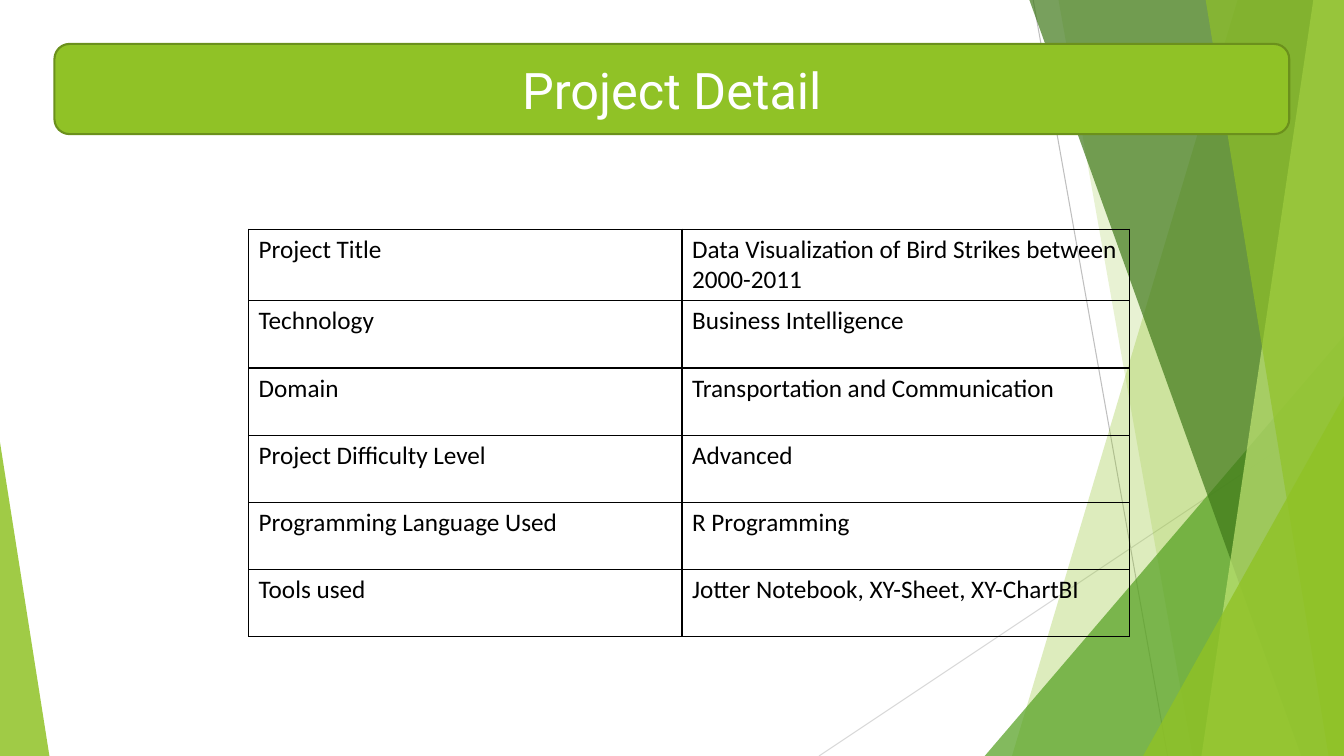
import collections
import dataclasses

import pptx
import pptx.dml.color
import pptx.enum.shapes
import pptx.enum.text
import pptx.oxml
import pptx.oxml.ns
import pptx.util
from lxml import etree

Pt = pptx.util.Pt
Shapes = pptx.enum.shapes.MSO_SHAPE
Box = collections.namedtuple("Box", "left top width height")
Slant = collections.namedtuple("Slant", "top_x bottom_x color opacity")
Triangle = collections.namedtuple("Triangle", "left width height apex color opacity")


@dataclasses.dataclass(frozen=True)
class Theme:
    lime: str = "90C226"
    green: str = "54A021"
    forest: str = "3F7819"
    pale: str = "C0E474"
    outline: str = "6B901C"
    dark_ray: str = "BFBFBF"
    light_ray: str = "D9D9D9"
    white: str = "FFFFFF"
    black: str = "000000"
    title_font: str = "Roboto"
    title_size: float = 36
    table_font: str = "Calibri"
    table_size: float = 18


THEME = Theme()

FACETS = [
    Slant(884.2, 722.9, THEME.lime, 30),
    Slant(756, 851.8, THEME.lime, 20),
    Triangle(703.4, 256.6, 300, 1, THEME.green, 72),
    Slant(735.1, 929.5, THEME.forest, 70),
    Slant(938.2, 858.2, THEME.pale, 70),
    Slant(861.1, 949, THEME.lime, 65),
    Triangle(816.5, 143.5, 257, 1, THEME.lime, 80),
    Triangle(0, 35.3, 224, 0, THEME.lime, 85),
]

RAYS = [
    (738, 0, 834, 540, THEME.dark_ray),
    (960, 290, 585, 540, THEME.light_ray),
]

DETAILS = [
    ("Project Title", "Data Visualization of Bird Strikes between 2000-2011"),
    ("Technology", "Business Intelligence"),
    ("Domain", "Transportation and Communication"),
    ("Project Difficulty Level", "Advanced"),
    ("Programming Language Used", "R Programming"),
    ("Tools used", "Jotter Notebook, XY-Sheet, XY-ChartBI"),
]


def rgb(color):
    return pptx.dml.color.RGBColor.from_string(color)


def fill_translucent(shape, color, opacity):
    shape.shadow.inherit = False
    shape.fill.solid()
    shape.fill.fore_color.rgb = rgb(color)
    shape.line.fill.background()
    color_element = shape._element.spPr.find(".//" + pptx.oxml.ns.qn("a:srgbClr"))
    alpha = etree.SubElement(color_element, pptx.oxml.ns.qn("a:alpha"))
    alpha.set("val", str(opacity * 1000))


def add_ray(slide, box, ray):
    start_x, start_y, end_x, end_y, color = ray
    connector = slide.shapes.add_connector(
        pptx.enum.shapes.MSO_CONNECTOR.STRAIGHT,
        Pt(box.left + start_x), Pt(box.top + start_y),
        Pt(box.left + end_x), Pt(box.top + end_y),
    )
    connector.line.color.rgb = rgb(color)
    connector.line.width = Pt(0.75)
    etree.SubElement(connector._element.spPr, pptx.oxml.ns.qn("a:effectLst"))


def add_slant(slide, box, slant):
    right, bottom = box.left + box.width, box.top + box.height
    top = box.top - 0.6
    builder = slide.shapes.build_freeform(Pt(box.left + slant.top_x), Pt(top))
    corners = [(right, top), (right, bottom), (box.left + slant.bottom_x, bottom)]
    builder.add_line_segments([(Pt(x), Pt(y)) for x, y in corners])
    return builder.convert_to_shape()


def add_triangle(slide, box, triangle):
    shape = slide.shapes.add_shape(
        Shapes.ISOSCELES_TRIANGLE,
        Pt(box.left + triangle.left), Pt(box.top + box.height - triangle.height),
        Pt(triangle.width), Pt(triangle.height),
    )
    shape.adjustments[0] = triangle.apex
    return shape


def add_backdrop(slide, box):
    for ray in RAYS:
        add_ray(slide, box, ray)
    for facet in FACETS:
        add_facet = add_slant if isinstance(facet, Slant) else add_triangle
        fill_translucent(add_facet(slide, box, facet), facet.color, facet.opacity)


def add_banner(slide, box, text):
    banner = slide.shapes.add_shape(Shapes.ROUNDED_RECTANGLE, *map(Pt, box))
    banner.shadow.inherit = False
    banner.fill.solid()
    banner.fill.fore_color.rgb = rgb(THEME.lime)
    banner.line.color.rgb = rgb(THEME.outline)
    banner.line.width = Pt(1.5)
    frame = banner.text_frame
    frame.vertical_anchor = pptx.enum.text.MSO_ANCHOR.MIDDLE
    paragraph = frame.paragraphs[0]
    paragraph.text = text
    paragraph.alignment = pptx.enum.text.PP_ALIGN.CENTER
    paragraph.font.name = THEME.title_font
    paragraph.font.size = Pt(THEME.title_size)
    paragraph.font.color.rgb = rgb(THEME.white)


def style_cell(cell, text):
    properties = cell._tc.get_or_add_tcPr()
    for side in ("lnL", "lnR", "lnT", "lnB"):
        properties.append(pptx.oxml.parse_xml(
            f'<a:{side} {pptx.oxml.ns.nsdecls("a")} w="{Pt(1)}"><a:solidFill>'
            f'<a:srgbClr val="{THEME.black}"/></a:solidFill></a:{side}>'
        ))
    cell.fill.background()
    paragraph = cell.text_frame.paragraphs[0]
    paragraph.text = text
    paragraph.font.name = THEME.table_font
    paragraph.font.size = Pt(THEME.table_size)
    paragraph.font.color.rgb = rgb(THEME.black)


def add_details(slide, box, details):
    first_row_height, label_width = 34.6, 309.6
    row_height = (box.height - first_row_height) / (len(details) - 1)
    table = slide.shapes.add_table(len(details), 2, *map(Pt, box)).table
    table.first_row = False
    table.horz_banding = False
    table.columns[0].width = Pt(label_width)
    table.columns[1].width = Pt(box.width - label_width)
    for index, texts in enumerate(details):
        table.rows[index].height = Pt(row_height if index else first_row_height)
        for column, text in enumerate(texts):
            style_cell(table.cell(index, column), text)


def main():
    presentation = pptx.Presentation()
    presentation.slide_width = Pt(960)
    presentation.slide_height = Pt(540)
    slide = presentation.slides.add_slide(presentation.slide_layouts[6])
    add_backdrop(slide, Box(0, 0, 960, 540))
    add_banner(slide, Box(38.9, 31.4, 882, 64.4), "Project Detail")
    add_details(slide, Box(177.6, 163.7, 629.3, 274.6), DETAILS)
    presentation.save("out.pptx")


if __name__ == "__main__":
    main()
